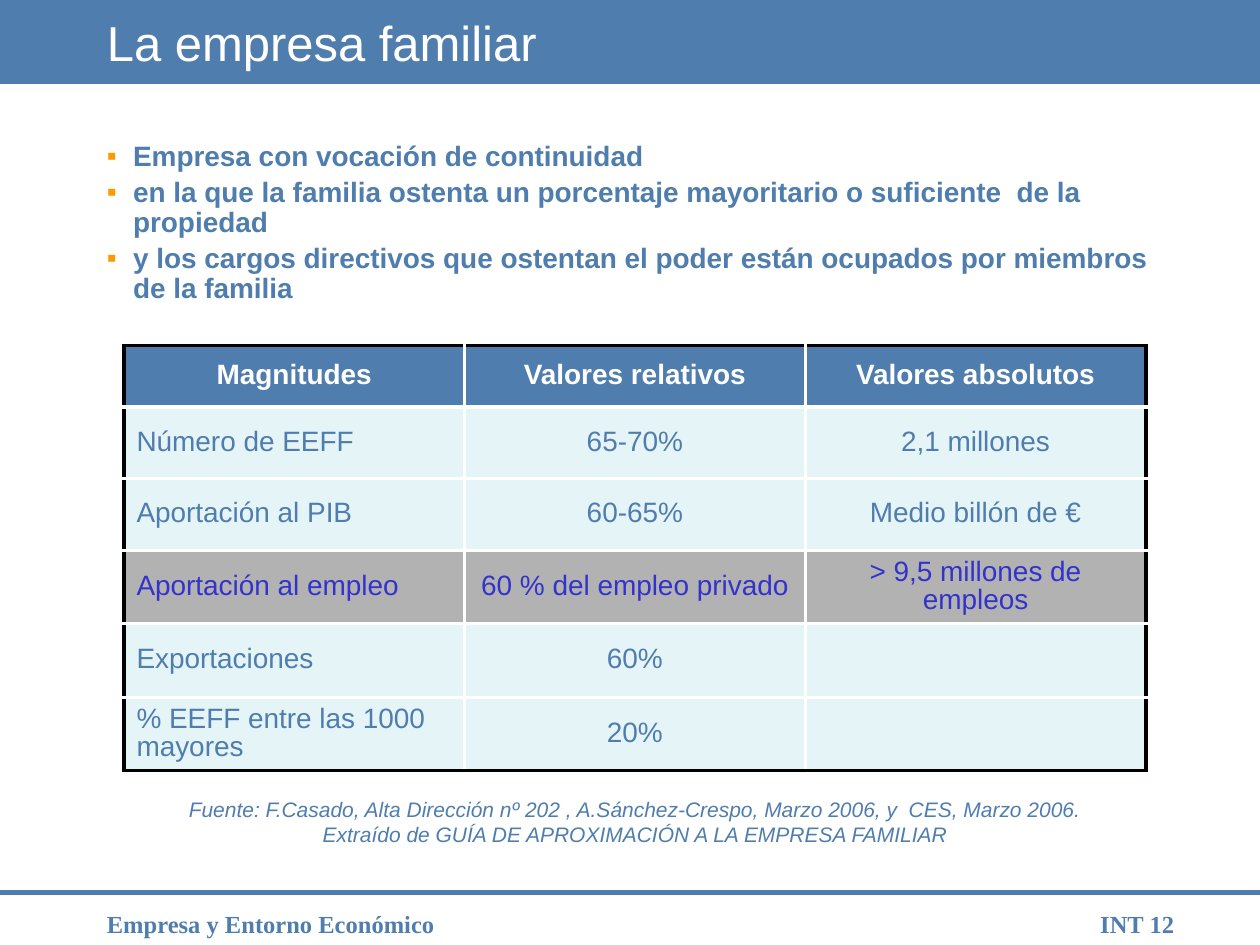
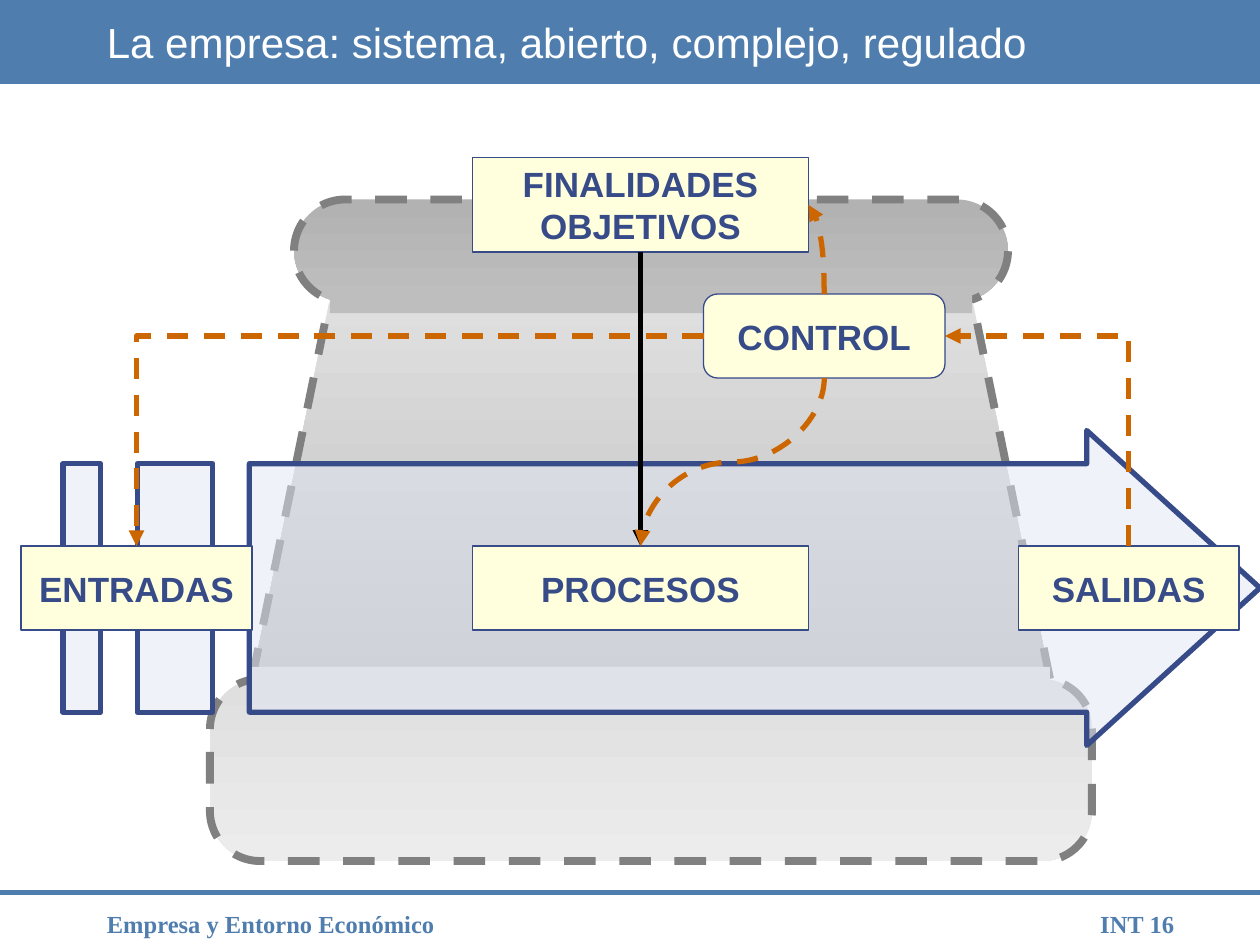
from lxml import etree
from pptx import Presentation
from pptx.dml.color import RGBColor
from pptx.enum import dml, shapes, text
from pptx.oxml import ns
from pptx.util import Pt

HUE = {
    "blue": "4F7DAE", "white": "FFFFFF", "black": "000000", "mark": "FF9900",
    "ice": "E5F4F7", "gray": "B2B2B2", "vivid": "3333CC", "navy": "364B88",
    "cream": "FFFFDD", "pale": "E1E6F3", "edge": "808080", "rust": "CC6600",
    "mid": "BEBEBE", "light": "DFDFDF", "faint": "ECECEC",
}
FORM = shapes.MSO_SHAPE
LEFT, MID, RIGHT = text.PP_ALIGN.LEFT, text.PP_ALIGN.CENTER, text.PP_ALIGN.RIGHT


def paint(shape, fill, line=None, width=1, dash=False):
    """Fill with one colour, or a pair as a gradient from top to bottom."""
    shape.shadow.inherit = False
    if isinstance(fill, tuple):
        shape.fill.gradient()
        shape.fill.gradient_angle = 270
        for stop, name in zip(shape.fill.gradient_stops, fill):
            stop.color.rgb = RGBColor.from_string(HUE[name])
    else:
        shape.fill.solid()
        shape.fill.fore_color.rgb = RGBColor.from_string(HUE[fill])
    if line is None:
        shape.line.fill.background()
        return
    shape.line.color.rgb = RGBColor.from_string(HUE[line])
    shape.line.width = Pt(width)
    if dash:
        shape.line.dash_style = dml.MSO_LINE.DASH


def write(frame, words, size, color, align=LEFT, bold=False, italic=False,
          face="Arial", tight=False):
    """Put one paragraph per line of words into a text frame."""
    frame.text = words
    for par in frame.paragraphs:
        par.alignment = align
        font = par.font
        font.name, font.size, font.bold, font.italic = face, Pt(size), bold, italic
        font.color.rgb = RGBColor.from_string(HUE[color])
        if tight:
            par.line_spacing = 0.9
            par.space_before = Pt(size * 0.2)


deck = Presentation()
deck.slide_width, deck.slide_height = Pt(720), Pt(540)

# Shared band, title, rule and footer
pages = []
for title, size, page in [
    ("La empresa familiar", 28, "INT 12"),
    ("La empresa: sistema, abierto, complejo, regulado", 24, "INT 16"),
]:
    slide = deck.slides.add_slide(deck.slide_layouts[6])
    pages.append(slide)
    band = slide.shapes.add_shape(FORM.RECTANGLE, 0, 0, Pt(720), Pt(48))
    paint(band, "blue")
    rule = slide.shapes.add_connector(
        shapes.MSO_CONNECTOR.STRAIGHT, 0, Pt(510), Pt(720), Pt(510))
    rule.line.color.rgb = RGBColor.from_string(HUE["blue"])
    rule.line.width = Pt(3)
    etree.SubElement(rule._element.spPr, ns.qn("a:effectLst"))
    for x, w, words, align in [
        (604, 74, page, RIGHT), (54, 336, "Empresa y Entorno Económico", LEFT),
    ]:
        foot = slide.shapes.add_textbox(Pt(x), Pt(516), Pt(w), Pt(24)).text_frame
        foot.word_wrap = True
        write(foot, words, 14, "blue", align, bold=True, face="Times New Roman")
    head = slide.shapes.add_textbox(Pt(54), 0, Pt(612), Pt(48)).text_frame
    head.word_wrap = True
    head.vertical_anchor = text.MSO_ANCHOR.MIDDLE
    write(head, title, size, "white")

firm, system = pages

# Definition bullets
body = firm.shapes.add_textbox(Pt(54), Pt(78), Pt(629), Pt(101)).text_frame
body.word_wrap = True
write(body, "Empresa con vocación de continuidad\n"
      "en la que la familia ostenta un porcentaje mayoritario o suficiente  de la propiedad\n"
      "y los cargos directivos que ostentan el poder están ocupados por miembros de la familia",
      16, "blue", bold=True, tight=True)
for par in body.paragraphs:
    props = par._p.get_or_add_pPr()
    props.set("marL", str(Pt(15)))
    props.set("indent", str(-Pt(15)))
    tint = etree.SubElement(props, ns.qn("a:buClr"))
    etree.SubElement(tint, ns.qn("a:srgbClr"), val=HUE["mark"])
    etree.SubElement(props, ns.qn("a:buFont"), typeface="Arial")
    etree.SubElement(props, ns.qn("a:buChar"), char="▪")
    # Bullet elements come before the default run properties
    for run in props.findall(ns.qn("a:defRPr")):
        props.append(run)

# Table of figures
rows = [
    ("Magnitudes", "Valores relativos", "Valores absolutos"),
    ("Número de EEFF", "65-70%", "2,1 millones"),
    ("Aportación al PIB", "60-65%", "Medio billón de €"),
    ("Aportación al empleo", "60 % del empleo privado", "> 9,5 millones de empleos"),
    ("Exportaciones", "60%", ""),
    ("% EEFF entre las 1000 mayores", "20%", ""),
]
tall = [35, 41, 41, 42, 42, 40]
looks = {0: ("blue", "white"), 3: ("gray", "vivid")}
grid = firm.shapes.add_table(6, 3, Pt(70.8), Pt(197.5), Pt(584), Pt(sum(tall))).table
grid.first_row = grid.horz_banding = False
for col in grid.columns:
    col.width = Pt(584 / 3)
for r, row in enumerate(rows):
    grid.rows[r].height = Pt(tall[r])
    back, ink = looks.get(r, ("ice", "blue"))
    for c, words in enumerate(row):
        cell = grid.cell(r, c)
        cell.vertical_anchor = text.MSO_ANCHOR.MIDDLE
        write(cell.text_frame, words, 16, ink, MID if c or not r else LEFT,
              bold=r == 0, tight=True)
        # Black around the outside, white within
        outer = {"lnL": c == 0, "lnR": c == 2, "lnT": r == 0, "lnB": r == 5}
        for side, rim in outer.items():
            edge = etree.SubElement(cell._tc.get_or_add_tcPr(), ns.qn("a:" + side),
                                    w=str(Pt(2.25)))
            solid = etree.SubElement(edge, ns.qn("a:solidFill"))
            etree.SubElement(solid, ns.qn("a:srgbClr"),
                             val=HUE["black" if rim else "white"])
        cell.fill.solid()
        cell.fill.fore_color.rgb = RGBColor.from_string(HUE[back])

# Source note
note = firm.shapes.add_textbox(Pt(54), Pt(451.5), Pt(618), Pt(36)).text_frame
note.word_wrap = True
write(note, "Fuente: F.Casado, Alta Dirección nº 202 , A.Sánchez-Crespo, Marzo 2006, y  CES, Marzo 2006.\n"
      "Extraído de GUÍA DE APROXIMACIÓN A LA EMPRESA FAMILIAR",
      12, "blue", MID, italic=True)

# Dashed backdrop of the firm: two rolls, a trapezoid and the seams
for x, y, w, h, bend, fill in [
    (168, 114, 408, 58.5, 0.5, ("gray", "mid")),
    (120, 388, 504, 104, 0.275, ("light", "faint")),
]:
    roll = system.shapes.add_shape(FORM.ROUNDED_RECTANGLE, Pt(x), Pt(y), Pt(w), Pt(h))
    roll.adjustments[0] = bend
    paint(roll, fill, "edge", 4.5, dash=True)
pen = system.shapes.build_freeform(Pt(144), Pt(388))
pen.add_line_segments([(Pt(x), Pt(y)) for x, y in [(188, 173), (556, 173), (600, 388)]])
paint(pen.convert_to_shape(), ("light", "mid"), "edge", 4.5, dash=True)
for x, y, w, fill in [(188.5, 166, 367, "mid"), (144, 381, 456, "light")]:
    seam = system.shapes.add_shape(FORM.RECTANGLE, Pt(x), Pt(y), Pt(w), Pt(13))
    paint(seam, fill)

# Striped arrow of the flow
top, low = 265, 407
parts = [
    [(621, 246), (621, top), (142.5, top), (142.5, low), (621, low), (621, 426), (720, 336)],
    [(78.5, top), (78.5, low), (121.5, low), (121.5, top)],
    [(36, top), (36, low), (57.5, low), (57.5, top)],
]
pen = system.shapes.build_freeform(Pt(621), Pt(246))
for n, part in enumerate(parts):
    dots = [(Pt(x), Pt(y)) for x, y in part]
    if n:
        pen.move_to(*dots[0])
    pen.add_line_segments(dots[1:])
flow = pen.convert_to_shape()
paint(flow, "pale", "navy", 3)
tint = flow._element.spPr.find(ns.qn("a:solidFill"))[0]
etree.SubElement(tint, ns.qn("a:alpha"), val="50000")

# Labelled boxes
for words, x, y, w, h, form in [
    ("PROCESOS", 270, 312, 192, 48, FORM.RECTANGLE),
    ("FINALIDADES\nOBJETIVOS", 270, 90, 192, 54, FORM.RECTANGLE),
    ("SALIDAS", 582, 312, 126, 48, FORM.RECTANGLE),
    ("ENTRADAS", 12, 312, 132, 48, FORM.RECTANGLE),
    ("CONTROL", 402, 168, 138, 48, FORM.ROUNDED_RECTANGLE),
]:
    box = system.shapes.add_shape(form, Pt(x), Pt(y), Pt(w), Pt(h))
    paint(box, "cream", "navy", 0.75)
    box.text_frame.word_wrap = False
    box.text_frame.vertical_anchor = text.MSO_ANCHOR.MIDDLE
    write(box.text_frame, words, 20, "navy", MID, bold=True)

# Arrows: unturned start and end, then the turn in degrees
for form, x1, y1, x2, y2, turn, color in [
    ("line", 366, 144, 366, 312, 0, "black"),
    ("bentConnector2", 78, 312, 402, 192, 180, "rust"),
    ("curvedConnector2", 492, 138, 441, 147, 90, "rust"),
    ("bentConnector2", 652.5, 199.5, 532.5, 304.5, 90, "rust"),
    ("curvedConnector3", 370.5, 211.5, 466.5, 316.5, 90, "rust"),
]:
    link = system.shapes.add_connector(
        shapes.MSO_CONNECTOR.STRAIGHT, Pt(x1), Pt(y1), Pt(x2), Pt(y2))
    link.line.color.rgb = RGBColor.from_string(HUE[color])
    link.line.width = Pt(3)
    if turn:
        link.line.dash_style = dml.MSO_LINE.DASH
    props = link._element.spPr
    props.find(ns.qn("a:prstGeom")).set("prst", form)
    props.find(ns.qn("a:xfrm")).set("rot", str(turn * 60000))
    etree.SubElement(props.find(ns.qn("a:ln")), ns.qn("a:tailEnd"), type="triangle")
    etree.SubElement(props, ns.qn("a:effectLst"))

deck.save("out.pptx")
